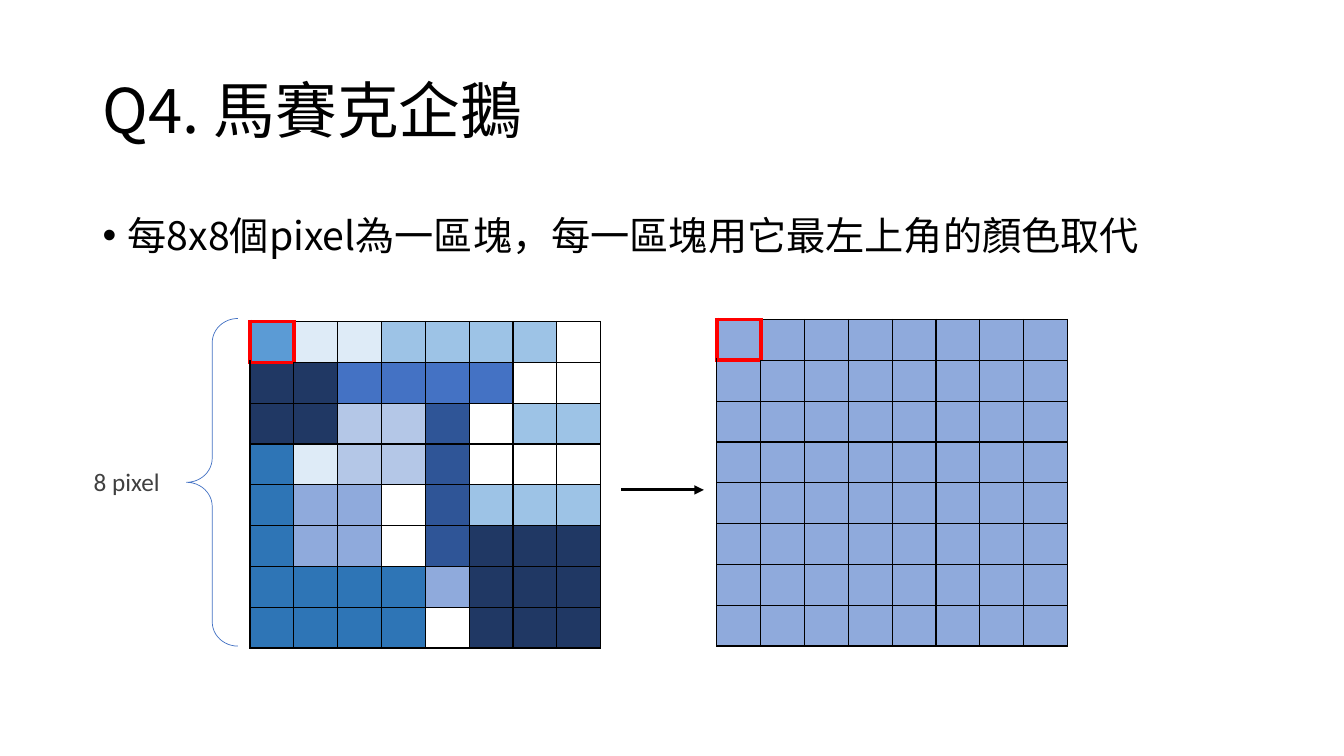
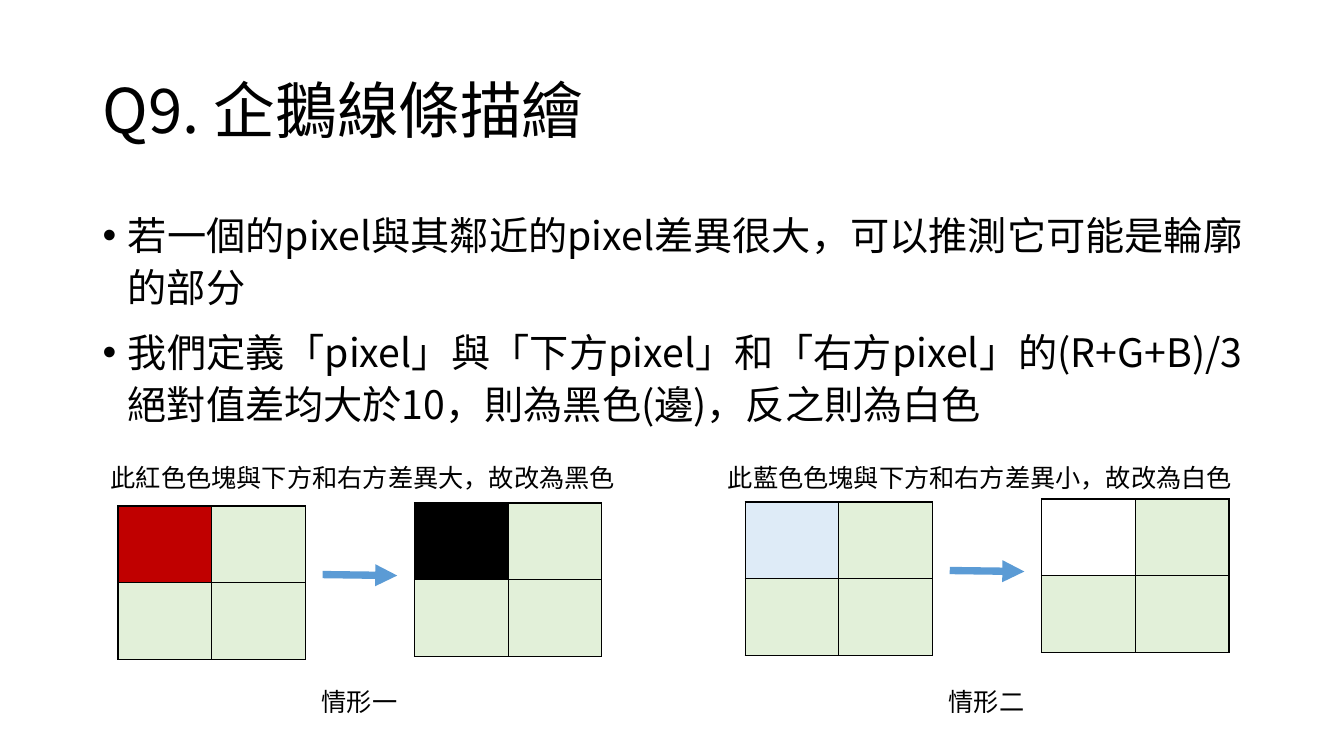
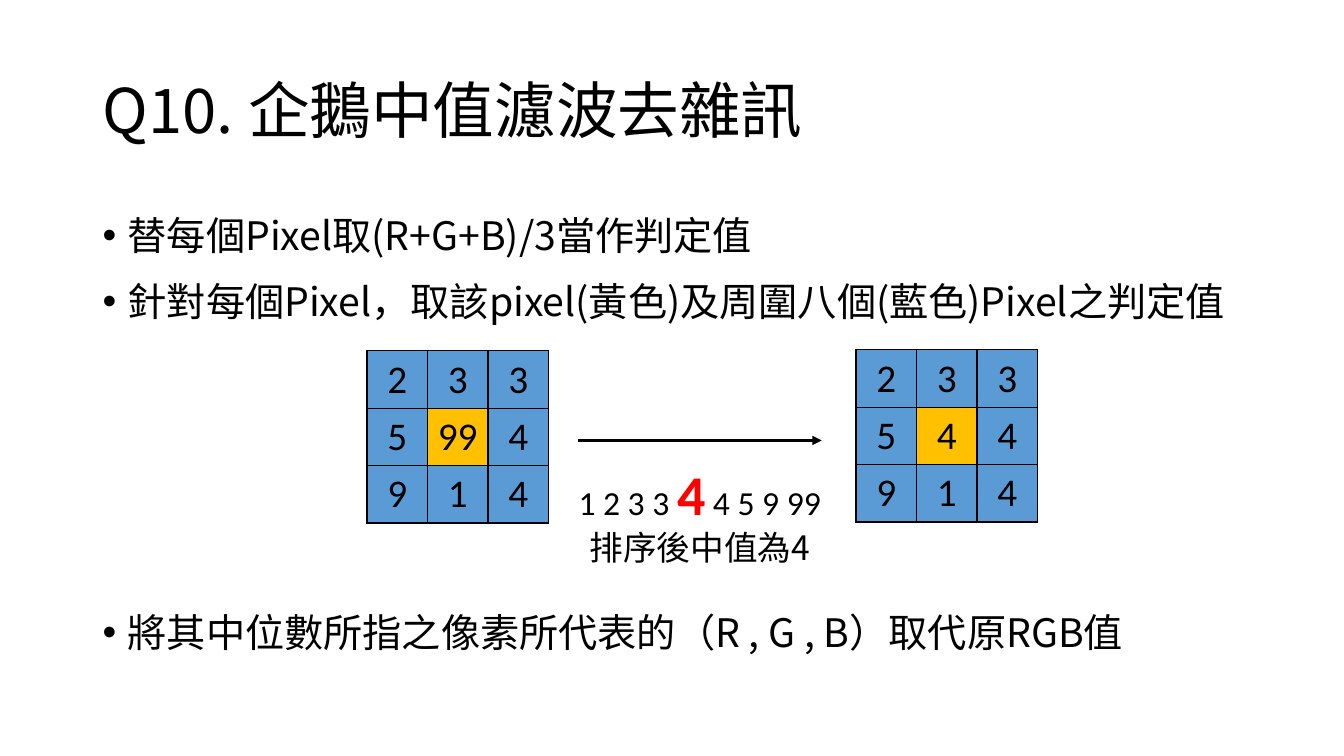
import dataclasses
import typing

import lxml.etree
import pptx
import pptx.dml.color
import pptx.enum.shapes
import pptx.enum.text
import pptx.oxml.ns
import pptx.util

Inches = pptx.util.Inches
Pt = pptx.util.Pt
RGB = pptx.dml.color.RGBColor
Align = pptx.enum.text.PP_ALIGN
Area = tuple[float, float, float, float]
Point = tuple[float, float]

BLACK = RGB(0x00, 0x00, 0x00)
WHITE = RGB(0xFF, 0xFF, 0xFF)
GRAY = RGB(0x40, 0x40, 0x40)
RED = RGB(0xFF, 0x00, 0x00)
BRICK = RGB(0xC0, 0x00, 0x00)
GOLD = RGB(0xFF, 0xC0, 0x00)
GREEN = RGB(0xE2, 0xF0, 0xD9)
BLUE = RGB(0x5B, 0x9B, 0xD5)
ROYAL = RGB(0x44, 0x72, 0xC4)
PALE = RGB(0xDE, 0xEB, 0xF7)
SKY = RGB(0x9D, 0xC3, 0xE6)
NAVY = RGB(0x20, 0x38, 0x64)
HAZE = RGB(0xB4, 0xC7, 0xE7)
INK = RGB(0x2F, 0x55, 0x97)
OCEAN = RGB(0x2E, 0x75, 0xB6)
STEEL = RGB(0x8F, 0xAA, 0xDC)

SANS = "Noto Sans CJK SC"
SANS_JP = "Noto Sans CJK JP"
LATIN = "Calibri"

PIXELS = {"b": BLUE, "p": PALE, "s": SKY, "n": NAVY, "r": ROYAL,
          "h": HAZE, "i": INK, "o": OCEAN, "t": STEEL, ".": None}
PENGUIN = ["bppssss.", "nnrrrr..", "nnhhi.ss", "ophhi...",
           "ott.isss", "ott.innn", "ooootnnn", "oooo.nnn"]


@dataclasses.dataclass
class Grid:
    left: float
    top: float
    wide: float
    high: float
    fills: list[list[RGB | None]]
    texts: list[str] | None = None
    marked: bool = False


@dataclasses.dataclass
class Case:
    shift: float
    drop: float
    before: RGB
    after: RGB
    note_left: float
    note: str
    name: str


def places(area: Area) -> list[pptx.util.Length]:
    return [Inches(part) for part in area]


def sub(parent: typing.Any, tag: str, **attrs: str) -> typing.Any:
    return lxml.etree.SubElement(parent, pptx.oxml.ns.qn(tag), attrs)


def write(par: typing.Any, text: str, *, size: float = 18, font: str = SANS,
          color: RGB = BLACK, bold: bool = False, align: Align = Align.LEFT) -> None:
    """Append a run to a paragraph, with the font set for Latin and East Asian text."""
    par.alignment = align
    run = par.add_run()
    run.text = text
    run.font.size = Pt(size)
    run.font.bold = bold
    run.font.color.rgb = color
    run.font.name = font
    sub(run.font._element, "a:ea", typeface=SANS if font == LATIN else font)


def frame(slide: typing.Any, area: Area) -> typing.Any:
    text_frame = slide.shapes.add_textbox(*places(area)).text_frame
    text_frame.word_wrap = True
    return text_frame


def label(slide: typing.Any, area: Area, text: str, **form: typing.Any) -> None:
    write(frame(slide, area).paragraphs[0], text, **form)


def start(deck: typing.Any, title: str) -> typing.Any:
    slide = deck.slides.add_slide(deck.slide_layouts[5])
    head = slide.shapes.title
    head.left, head.top, head.width, head.height = places((0.92, 0.4, 11.5, 1.45))
    text_frame = head.text_frame
    text_frame.word_wrap = True
    text_frame.auto_size = pptx.enum.text.MSO_AUTO_SIZE.NONE
    text_frame.vertical_anchor = pptx.enum.text.MSO_ANCHOR.MIDDLE
    text_frame.paragraphs[0].line_spacing = 0.9
    write(text_frame.paragraphs[0], title, size=44)
    return slide


def bullets(slide: typing.Any, items: list[str], align: Align = Align.LEFT,
            last_gap: float = 10) -> None:
    """Write the body list; last_gap is the space in points before its last item."""
    body = frame(slide, (0.92, 2, 11.5, 4.76))
    for index, item in enumerate(items):
        par = body.paragraphs[0] if index == 0 else body.add_paragraph()
        par.line_spacing = 1.1
        if index:
            par.space_before = Pt(last_gap if index == len(items) - 1 else 10)
        props = par._p.get_or_add_pPr()
        props.set("marL", str(Inches(0.25)))
        props.set("indent", str(Inches(-0.25)))
        sub(props, "a:buFont", typeface="Arial")
        sub(props, "a:buChar", char="•")
        write(par, item, size=28, align=align)


def border(cell: typing.Any, red_sides: str) -> None:
    """Draw all four sides, those named in red_sides thick and red."""
    props = cell._tc.get_or_add_tcPr()
    for side in "LRTB":
        red = side in red_sides
        line = sub(props, f"a:ln{side}", w=str(Pt(3 if red else 1)))
        sub(sub(line, "a:solidFill"), "a:srgbClr", val=str(RED if red else BLACK))


def draw_grid(slide: typing.Any, grid: Grid) -> None:
    rows, cols = len(grid.fills), len(grid.fills[0])
    area = (grid.left, grid.top, grid.wide * cols, grid.high * rows)
    table = slide.shapes.add_table(rows, cols, *places(area)).table
    table.first_row = table.horz_banding = False
    for col in table.columns:
        col.width = Inches(grid.wide)
    red_sides = {(0, 0): "LRTB", (0, 1): "L", (1, 0): "T"} if grid.marked else {}
    for row, fills in enumerate(grid.fills):
        table.rows[row].height = Inches(grid.high)
        for col, color in enumerate(fills):
            cell = table.cell(row, col)
            border(cell, red_sides.get((row, col), ""))
            if color is None:
                cell.fill.background()
            else:
                cell.fill.solid()
                cell.fill.fore_color.rgb = color
            if grid.texts:
                write(cell.text_frame.paragraphs[0], grid.texts[row].split()[col],
                      size=28, font=LATIN, align=Align.CENTER)


def arrow(slide: typing.Any, tail: Point, head: Point,
          color: RGB = BLACK, width: float = 2.25) -> None:
    line = slide.shapes.add_connector(pptx.enum.shapes.MSO_CONNECTOR.STRAIGHT,
                                      *places((*tail, *head)))
    line.line.color.rgb = color
    line.line.width = Pt(width)
    sub(line.line._get_or_add_ln(), "a:tailEnd", type="triangle")
    sub(line._element.spPr, "a:effectLst")


def mosaic(deck: typing.Any) -> None:
    slide = start(deck, "Q4. 馬賽克企鵝")
    bullets(slide, ["每8x8個pixel為一區塊，每一區塊用它最左上角的顏色取代"])
    image = [[PIXELS[key] for key in row] for row in PENGUIN]
    draw_grid(slide, Grid(2.48, 3.19, 0.435, 0.405, image, marked=True))
    draw_grid(slide, Grid(7.11, 3.17, 0.435, 0.405, [[STEEL] * 8] * 8, marked=True))
    arrow(slide, (6.16, 4.86), (6.98, 4.86))
    brace = slide.shapes.add_shape(pptx.enum.shapes.MSO_SHAPE.LEFT_BRACE,
                                   *places((1.85, 3.16, 0.51, 3.25)))
    brace.adjustments[0] = 0.47
    brace.shadow.inherit = False
    brace.fill.background()
    brace.line.color.rgb = ROYAL
    brace.line.width = Pt(0.5)
    label(slide, (0.83, 4.58, 1.02, 0.4), "8 pixel", font=LATIN, color=GRAY)


def outline(deck: typing.Any) -> None:
    slide = start(deck, "Q9. 企鵝線條描繪")
    bullets(slide, [
        "若一個的pixel與其鄰近的pixel差異很大，可以推測它可能是輪廓的部分",
        "我們定義「pixel」與「下方pixel」和「右方pixel」的(R+G+B)/3絕對值差均大於10，"
        "則為黑色(邊)，反之則為白色",
    ], align=Align.JUSTIFY)
    cases = [
        Case(0, 0, BRICK, BLACK, 1, "此紅色色塊與下方和右方差異大，故改為黑色", "情形一"),
        Case(6.22, -0.04, PALE, WHITE, 7.12, "此藍色色塊與下方和右方差異小，故改為白色", "情形二"),
    ]
    for case in cases:
        x, y = case.shift, case.drop
        for left, top, color in ((1.17, 5.02, case.before), (4.11, 4.99, case.after)):
            fills = [[color, GREEN], [GREEN, GREEN]]
            draw_grid(slide, Grid(left + x, top + y, 0.93, 0.76, fills))
        arrow(slide, (3.2 + x, 5.7 + y), (3.94 + x, 5.71 + y), BLUE, 5.25)
        label(slide, (2.36 + x, 6.76, 2.41, 0.4), case.name,
              font=LATIN, align=Align.CENTER)
        label(slide, (case.note_left, 4.54, 5.32, 0.4), case.note, font=SANS_JP)


def median(deck: typing.Any) -> None:
    slide = start(deck, "Q10. 企鵝中值濾波去雜訊")
    bullets(slide, [
        "替每個Pixel取(R+G+B)/3當作判定值",
        "針對每個Pixel，取該pixel(黃色)及周圍八個(藍色)Pixel之判定值",
        "將其中位數所指之像素所代表的（R , G , B）取代原RGB值",
    ], last_gap=200)
    fills = [[BLUE] * 3, [BLUE, GOLD, BLUE], [BLUE] * 3]
    for left, top, center in ((3.64, 3.48, 99), (8.49, 3.47, 4)):
        texts = ["2 3 3", f"5 {center} 4", "9 1 4"]
        draw_grid(slide, Grid(left, top, 0.6, 0.57, fills, texts))
    order = frame(slide, (5.4, 4.51, 3.08, 1.18))
    par = order.paragraphs[0]
    form = {"size": 24, "align": Align.CENTER}
    write(par, "1 2 3 3 ", font=LATIN, **form)
    write(par, "4", size=40, font=LATIN, color=RED, bold=True, align=Align.CENTER)
    write(par, " 4 5 9 99", font=LATIN, **form)
    write(order.add_paragraph(), "排序後中值為4", **form)
    arrow(slide, (5.73, 4.37), (8.15, 4.37))


def main() -> None:
    deck = pptx.Presentation()
    deck.slide_width, deck.slide_height = Inches(13.33), Inches(7.5)
    for build in (mosaic, outline, median):
        build(deck)
    deck.save("out.pptx")


if __name__ == "__main__":
    main()
